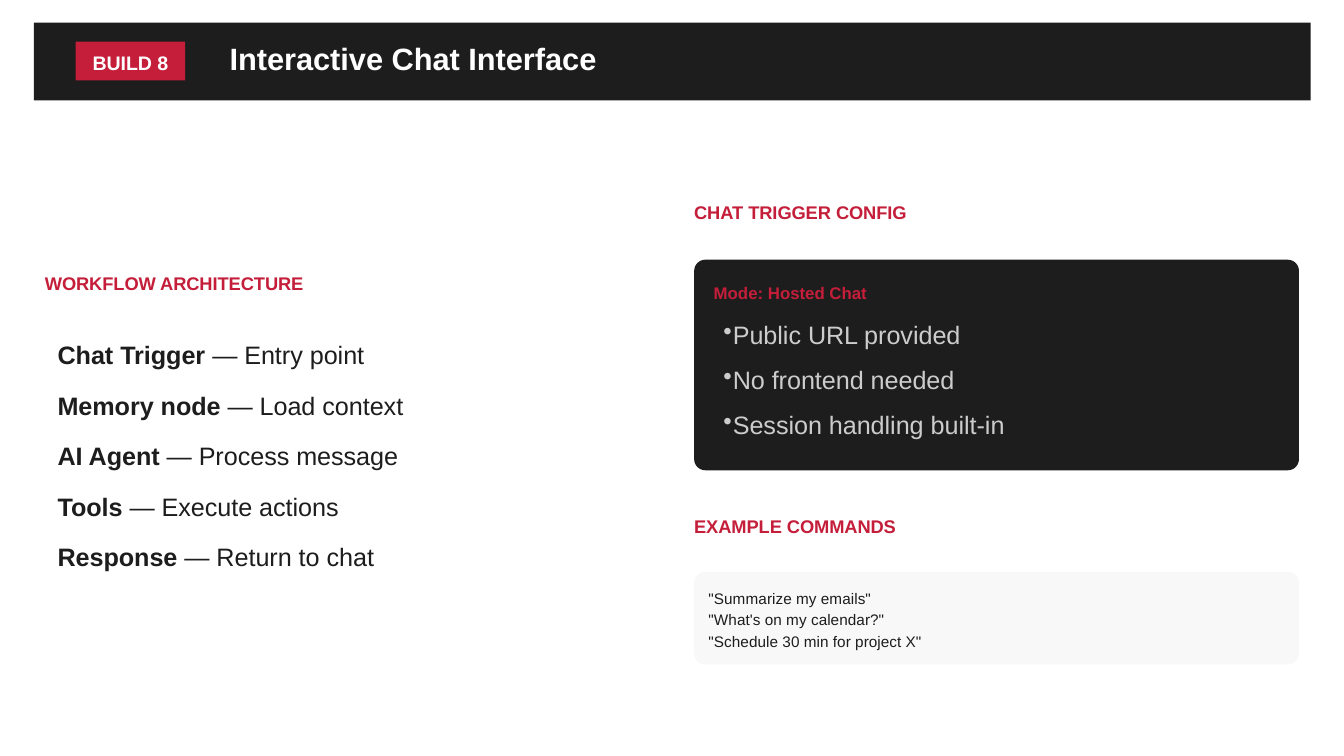
from dataclasses import dataclass

from lxml import etree
from pptx import Presentation
from pptx import util as u
from pptx.dml.color import RGBColor
from pptx.enum import shapes, text
from pptx.oxml import ns
from pptx.shapes.autoshape import Shape
from pptx.slide import Slide
from pptx.text.text import _Paragraph as Paragraph


@dataclass(frozen=True)
class Theme:
    font: str = "Arial"
    ink: str = "1D1D1D"
    accent: str = "C41E3A"
    white: str = "FFFFFF"
    muted: str = "CCCCCC"
    pale: str = "F8F8F8"
    title: float = 16.5
    body: float = 13.5
    badge: float = 10.5
    heading: float = 9.75
    label: float = 9
    command: float = 8.25
    radius: float = 0.21  # cm


@dataclass(frozen=True)
class Box:
    """Position and size in centimetres."""
    left: float
    top: float
    width: float
    height: float

    def lengths(self) -> list[u.Cm]:
        return [u.Cm(v) for v in (self.left, self.top, self.width, self.height)]


@dataclass(frozen=True)
class Style:
    size: float
    color: str
    line: float  # exact line spacing, points
    after: float = 0
    bold: bool = False
    inset: float = 0  # left inset, cm
    bullet: bool = False


@dataclass(frozen=True)
class Panel:
    box: Box
    fill: str
    rounded: bool = False


@dataclass(frozen=True)
class TextBlock:
    box: Box
    style: Style
    lines: tuple[str, ...]


@dataclass(frozen=True)
class Step:
    name: str
    role: str


THEME = Theme()
LEFT, RIGHT = 0.85, 13.12  # column edges
COLUMN = 11.43

# Text styles
BADGE = Style(THEME.badge, THEME.white, 14.7, bold=True)
TITLE = Style(THEME.title, THEME.white, 16.5, bold=True)
HEADING = Style(THEME.heading, THEME.accent, 13.7, after=7.5, bold=True)
LABEL = Style(THEME.label, THEME.accent, 12.6, after=4.5, bold=True)
STEP = Style(THEME.body, THEME.ink, 21, after=6, inset=0.24)
FEATURE = Style(THEME.body, THEME.muted, 21, after=3, inset=0.18, bullet=True)
COMMAND = Style(THEME.command, THEME.ink, 11.6)

# Content
PANELS = (
    Panel(Box(0.64, 0.43, 24.13, 1.47), THEME.ink),
    Panel(Box(1.43, 0.79, 2.07, 0.73), THEME.accent),
    Panel(Box(RIGHT, 4.91, COLUMN, 3.98), THEME.ink, rounded=True),
    Panel(Box(RIGHT, 10.81, COLUMN, 1.75), THEME.pale, rounded=True),
)
TEXTS = (
    TextBlock(Box(1.75, 0.89, 1.47, 0.5), BADGE, ("BUILD 8",)),
    TextBlock(Box(4.34, 0.87, 7.09, 0.58), TITLE, ("Interactive Chat Interface",)),
    TextBlock(Box(LEFT, 5.08, 11.66, 0.48), HEADING, ("WORKFLOW ARCHITECTURE",)),
    TextBlock(Box(RIGHT, 3.73, 11.66, 0.48), HEADING, ("CHAT TRIGGER CONFIG",)),
    TextBlock(Box(13.49, 5.28, 10.89, 0.43), LABEL, ("Mode: Hosted Chat",)),
    TextBlock(Box(13.49, 5.87, 10.69, 2.65), FEATURE,
              ("Public URL provided", "No frontend needed", "Session handling built-in")),
    TextBlock(Box(RIGHT, 9.68, 11.66, 0.48), HEADING, ("EXAMPLE COMMANDS",)),
    TextBlock(Box(13.39, 11.07, 11.13, 1.23), COMMAND,
              ('"Summarize my emails"', '"What\'s on my calendar?"',
               '"Schedule 30 min for project X"')),
)
STEPS_BOX = Box(LEFT, 6.25, COLUMN, 4.98)
STEPS = (
    Step("Chat Trigger", "Entry point"),
    Step("Memory node", "Load context"),
    Step("AI Agent", "Process message"),
    Step("Tools", "Execute actions"),
    Step("Response", "Return to chat"),
)


def draw_panel(slide: Slide, panel: Panel) -> Shape:
    kind = shapes.MSO_SHAPE.ROUNDED_RECTANGLE if panel.rounded else shapes.MSO_SHAPE.RECTANGLE
    shape = slide.shapes.add_shape(kind, *panel.box.lengths())
    if panel.rounded:
        shape.adjustments[0] = THEME.radius / panel.box.height
    shape.shadow.inherit = False
    shape.fill.solid()
    shape.fill.fore_color.rgb = RGBColor.from_string(panel.fill)
    shape.line.fill.background()
    return shape


def add_bullet(paragraph: Paragraph, indent: float) -> None:
    properties = paragraph._p.get_or_add_pPr()
    properties.set("marL", str(u.Cm(indent)))
    properties.set("indent", str(-u.Cm(indent)))
    etree.SubElement(properties, ns.qn("a:buChar")).set("char", "•")


def add_run(paragraph: Paragraph, words: str, style: Style, bold: bool) -> None:
    run = paragraph.add_run()
    run.text = words
    run.font.name = THEME.font
    run.font.size = u.Pt(style.size)
    run.font.bold = bold
    run.font.color.rgb = RGBColor.from_string(style.color)


def draw_text(slide: Slide, box: Box, style: Style,
              lines: list[list[tuple[str, bool]]]) -> None:
    """Write one paragraph per line; a line is a list of (words, bold) runs."""
    frame = slide.shapes.add_textbox(*box.lengths()).text_frame
    frame.word_wrap = True
    frame.vertical_anchor = text.MSO_ANCHOR.TOP
    frame.margin_left = u.Cm(style.inset)
    frame.margin_top = frame.margin_right = frame.margin_bottom = 0
    for index, runs in enumerate(lines):
        paragraph = frame.add_paragraph() if index else frame.paragraphs[0]
        paragraph.line_spacing = u.Pt(style.line)
        paragraph.space_after = u.Pt(style.after)
        if style.bullet:
            add_bullet(paragraph, style.inset)
        for words, bold in runs:
            add_run(paragraph, words, style, bold)


def main() -> None:
    presentation = Presentation()
    presentation.slide_width, presentation.slide_height = u.Cm(25.4), u.Cm(14.29)
    slide = presentation.slides.add_slide(presentation.slide_layouts[6])

    # Header bar, badge and cards
    for panel in PANELS:
        draw_panel(slide, panel)

    # Titles, headings and card text
    for block in TEXTS:
        draw_text(slide, block.box, block.style,
                  [[(line, block.style.bold)] for line in block.lines])

    # Workflow steps
    draw_text(slide, STEPS_BOX, STEP,
              [[(step.name, True), (f" — {step.role}", False)] for step in STEPS])

    presentation.save("out.pptx")


if __name__ == "__main__":
    main()
